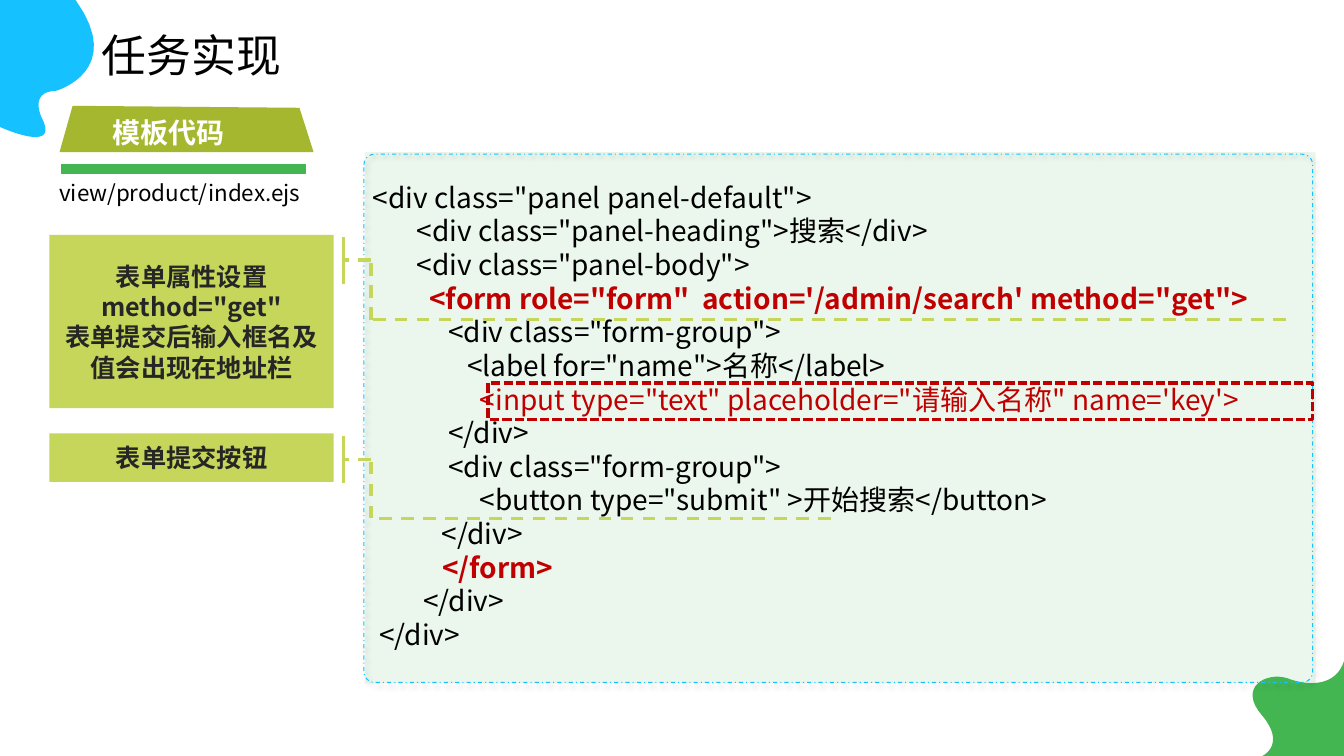
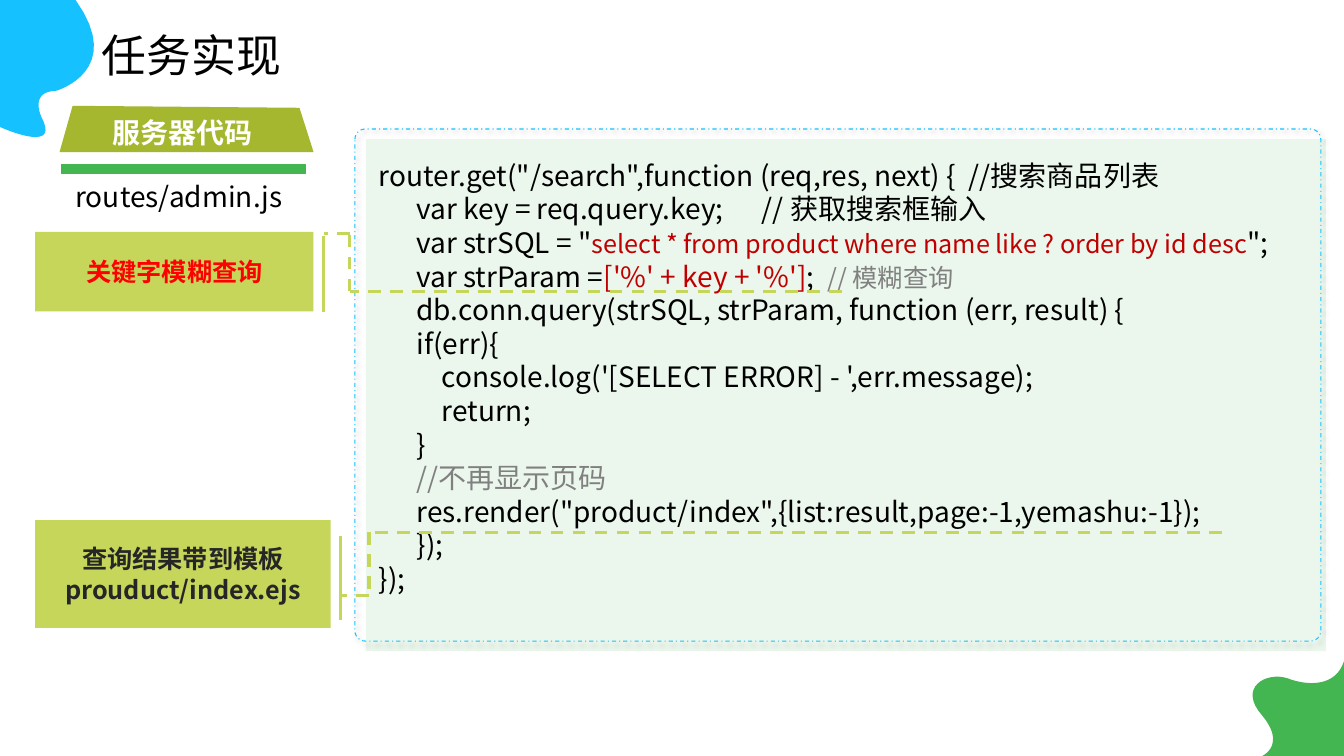
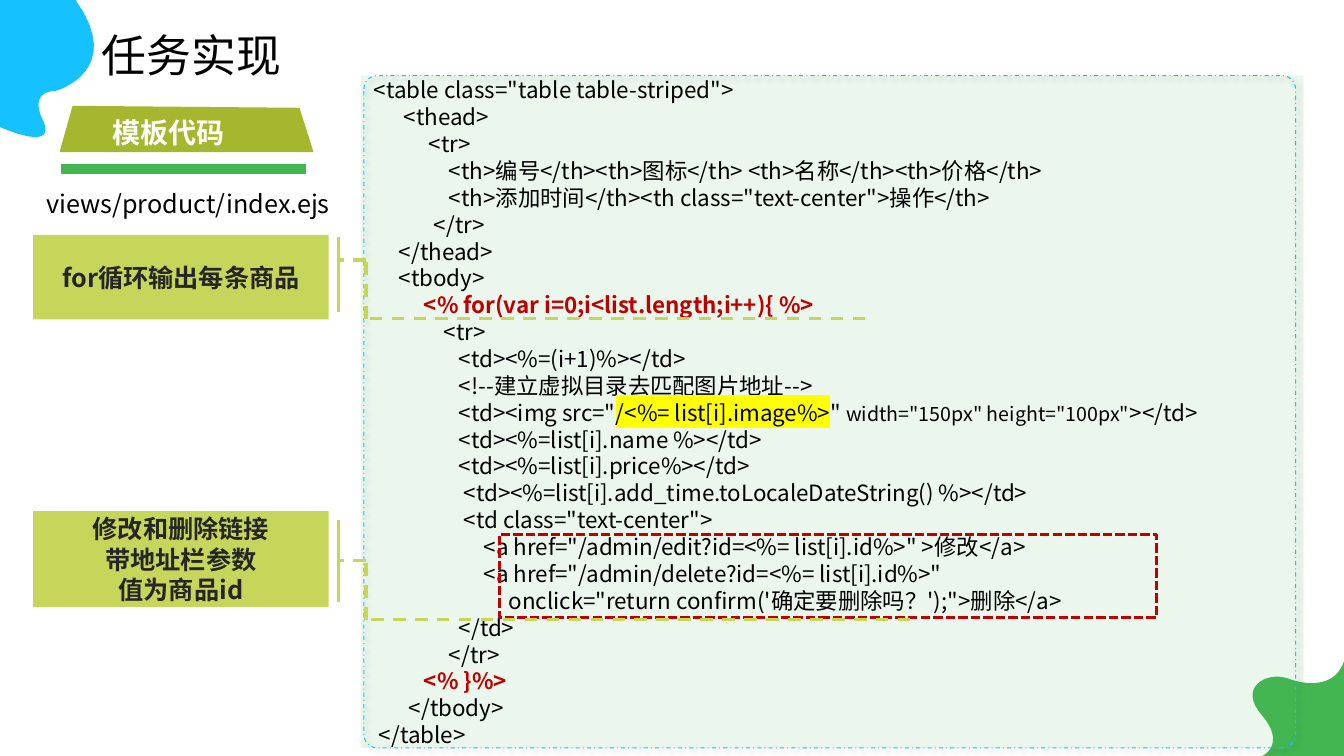
from lxml import etree
from pptx import Presentation
from pptx.dml.color import RGBColor
from pptx.enum.dml import MSO_LINE
from pptx.enum.shapes import MSO_CONNECTOR, MSO_SHAPE
from pptx.enum.text import MSO_ANCHOR, MSO_AUTO_SIZE, PP_ALIGN
from pptx.oxml.ns import qn
from pptx.util import Inches, Pt

RECT, ROUND = MSO_SHAPE.RECTANGLE, MSO_SHAPE.ROUNDED_RECTANGLE
LINE = MSO_CONNECTOR.STRAIGHT
DASH, DOTS, DASHDOT = MSO_LINE.DASH, MSO_LINE.SQUARE_DOT, MSO_LINE.DASH_DOT
LEFT, CENTER = PP_ALIGN.LEFT, PP_ALIGN.CENTER
TOP, MIDDLE = MSO_ANCHOR.TOP, MSO_ANCHOR.MIDDLE

FONT = "Noto Sans CJK SC"
BLACK, WHITE, DARK, GRAY = "000000", "FFFFFF", "262626", "808080"
BLUE, GREEN, OLIVE, LIME = "15C2FF", "43B651", "A5B72E", "C6D65B"
RED, BRIGHT, YELLOW = "C00000", "FF0000", "FFFF00"
STRONG = {"color": RED, "bold": True}
color = RGBColor.from_string


def paint(shape, fill=None, line=None, width=1, dash=None):
    shape.shadow.inherit = False
    if fill:
        shape.fill.solid()
        shape.fill.fore_color.rgb = color(fill)
    else:
        shape.fill.background()
    if line:
        shape.line.color.rgb = color(line)
        shape.line.width = Pt(width)
        shape.line.dash_style = dash
    else:
        shape.line.fill.background()
    return shape


def write(shape, lines, size, ink=BLACK, bold=False, align=LEFT, anchor=TOP):
    frame = shape.text_frame
    frame.word_wrap = True
    frame.auto_size = MSO_AUTO_SIZE.NONE
    frame.vertical_anchor = anchor
    for i, parts in enumerate(lines):
        para = frame.add_paragraph() if i else frame.paragraphs[0]
        para.alignment = align
        para.line_spacing = Pt(size * 1.2)
        font = para.font
        font.name, font.size, font.bold = FONT, Pt(size), bold
        font.color.rgb = color(ink)
        base = para._p.pPr.find(qn("a:defRPr"))
        etree.SubElement(base, qn("a:ea"), typeface=FONT)
        for part in [parts] if isinstance(parts, str) else parts:
            text, style = (part, {}) if isinstance(part, str) else part
            run = para.add_run()
            run.text = text
            if "color" in style:
                run.font.color.rgb = color(style["color"])
            if "size" in style:
                run.font.size = Pt(style["size"])
            if "bold" in style:
                run.font.bold = True
            if "mark" in style:
                mark = etree.SubElement(run._r.get_or_add_rPr(), qn("a:highlight"))
                etree.SubElement(mark, qn("a:srgbClr"), val=style["mark"])


BLOBS = [
    (BLUE, (0, 1.26), [
        ((0, 1.26), (0.57, 1.52), (0.43, 1.2)),
        ((0.43, 1.2), (0.26, 0.91), (0.56, 0.9)),
        ((0.56, 0.9), (1.25, 0.7), (0.75, 0))], (0, 0)),
    (GREEN, (12.52, 7.5), [
        ((12.52, 7.5), (12.76, 7.39), (12.52, 7.1)),
        ((12.27, 6.82), (12.56, 6.66), (12.77, 6.73)),
        ((12.98, 6.81), (13.25, 6.81), (13.33, 6.56))], (13.33, 7.5)),
]
BANNER = [(0.72, 1.05), (2.97, 1.07), (3.11, 1.51), (0.59, 1.51)]

SLIDES = [
    {
        "head": "模板代码",
        "file": ("view/product/index.ejs", 16, 0.49, 1.73),
        "tint": (3.62, 1.51, 9.43, 5.27),
        "edge": (3.61, 1.53, 9.41, 5.24),
        "box": (3.6, 1.74, 10.25, 5.56),
        "size": 20,
        "code": [
            '<div class="panel panel-default">',
            '       <div class="panel-heading">搜索</div>',
            '       <div class="panel-body">',
            ("         ", ("<form role=\"form\"  action='/admin/search' method=\"get\">", STRONG)),
            '            <div class="form-group">',
            '               <label for="name">名称</label>',
            ("                 ",
             ("<input type=\"text\" placeholder=\"请输入名称\" name='key'>", {"color": RED})),
            "            </div>",
            '            <div class="form-group">',
            '                 <button type="submit" >开始搜索</button>',
            "           </div>",
            ("        ", ("   </form>", STRONG)),
            "        </div>",
            " </div>",
        ],
        "frame": (4.84, 3.8, 8.18, 0.36),
        "notes": [
            ((0.49, 2.33, 2.82, 1.72), DARK,
             ["表单属性设置", 'method="get"', "表单提交后输入框名及值会出现在地址栏"],
             (12.75, 3.17), (3.68, 2.58), (3.41, 2.35, 2.82)),
            ((0.49, 4.3, 2.82, 0.48), DARK, ["表单提交按钮"],
             (8.24, 5.14), (3.68, 4.56), (3.41, 4.33, 4.79)),
        ],
    },
    {
        "head": "服务器代码",
        "file": ("routes/admin.js", 20, 0.65, 1.73),
        "tint": (3.63, 1.38, 9.52, 5.08),
        "edge": (3.52, 1.28, 9.58, 5.08),
        "box": (3.66, 1.52, 9.5, 4.62),
        "size": 20,
        "code": [
            'router.get("/search",function (req,res, next) {  //搜索商品列表',
            "      var key = req.query.key;      // 获取搜索框输入",
            ('      var strSQL = "',
             ("select * from product where name like ? order by id desc",
              {"color": RED, "size": 18}), '";'),
            ("      var strParam =", ("['%' + key + '%']", {"color": RED}), ";  ",
             ("// 模糊查询", {"color": GRAY, "size": 18})),
            "      db.conn.query(strSQL, strParam, function (err, result) {",
            "      if(err){",
            "          console.log('[SELECT ERROR] - ',err.message);",
            "          return;",
            "      }",
            [("      //不再显示页码", {"color": GRAY})],
            '      res.render("product/index",{list:result,page:-1,yemashu:-1});',
            "      });",
            "});",
        ],
        "frame": None,
        "notes": [
            ((0.35, 5.16, 2.93, 1.07), DARK, ["查询结果带到模板", "prouduct/index.ejs"],
             (12.12, 5.28), (3.66, 5.91), (3.38, 5.32, 6.15)),
            ((0.35, 2.3, 2.76, 0.79), BRIGHT, ["关键字模糊查询"],
             (8.35, 2.89), (3.47, 2.32), (3.21, 2.34, 3.1)),
        ],
    },
    {
        "head": "模板代码",
        "file": ("views/product/index.ejs", 18, 0.36, 1.82),
        "tint": (3.58, 0.75, 9.35, 6.67),
        "edge": (3.61, 0.75, 9.24, 6.67),
        "box": (3.56, 0.71, 9.75, 6.7),
        "size": 16,
        "code": [
            ' <table class="table table-striped">',
            "       <thead>",
            "            <tr>",
            "                <th>编号</th><th>图标</th> <th>名称</th><th>价格</th>",
            '                <th>添加时间</th><th class="text-center">操作</th>',
            "             </tr>",
            "      </thead>",
            "      <tbody>",
            ("          ", (" <% for(var i=0;i<list.length;i++){ %>", STRONG)),
            "               <tr>",
            "                  <td><%=(i+1)%></td>",
            "                  <!--建立虚拟目录去匹配图片地址-->",
            ('                  <td><img src="', ("/<%= list[i].image%>", {"mark": YELLOW}),
             '" ', ('width="150px" height="100px"', {"size": 14}), "></td>"),
            "                  <td><%=list[i].name %></td>",
            "                  <td><%=list[i].price%></td>",
            "                   <td><%=list[i].add_time.toLocaleDateString() %></td>",
            '                   <td class="text-center">',
            '                       <a href="/admin/edit?id=<%= list[i].id%>" >修改</a>',
            '                       <a href="/admin/delete?id=<%= list[i].id%>"',
            "                            onclick=\"return confirm('确定要删除吗？');\">删除</a>",
            "                  </td>",
            "                </tr>",
            ("           ", ("<% }%>", STRONG)),
            "        </tbody>",
            "  </table>",
        ],
        "frame": (4.95, 5.3, 6.52, 0.83),
        "notes": [
            ((0.33, 2.33, 2.93, 0.84), DARK, ["for循环输出每条商品"],
             (8.58, 3.16), (3.63, 2.58), (3.36, 2.35, 3.1)),
            ((0.33, 5.07, 2.93, 0.95), DARK, ["修改和删除链接", "带地址栏参数", "值为商品id"],
             (9.03, 6.15), (3.63, 5.56), (3.36, 5.16, 5.97)),
        ],
    },
]

deck = Presentation()
deck.slide_width, deck.slide_height = Inches(13.33), Inches(7.5)

for page in SLIDES:
    slide = deck.slides.add_slide(deck.slide_layouts[5])
    shapes = slide.shapes

    title = shapes.title
    title.left, title.top = Inches(0.91), Inches(0.22)
    title.width, title.height = Inches(3), Inches(0.64)
    write(title, ["任务实现"], 32)

    outlines = [(OLIVE, BANNER)]
    for fill, start, curves, corner in BLOBS:
        points = [start]
        for a, b, end in curves:
            first = points[-1]
            for step in range(1, 17):
                t = step / 16
                u = 1 - t
                points.append([
                    u**3 * p + 3 * u * u * t * q + 3 * u * t * t * r + t**3 * s
                    for p, q, r, s in zip(first, a, b, end)])
        outlines.append((fill, points + [corner]))
    for fill, points in outlines:
        points = [(Inches(x), Inches(y)) for x, y in points]
        pen = shapes.build_freeform(*points[0])
        pen.add_line_segments(points[1:])
        paint(pen.convert_to_shape(), fill)

    tint = paint(shapes.add_shape(RECT, *map(Inches, page["tint"])), GREEN)
    shade = tint._element.spPr.find(qn("a:solidFill"))[0]
    etree.SubElement(shade, qn("a:alpha"), val="10000")

    edge = shapes.add_shape(ROUND, *map(Inches, page["edge"]))
    edge.adjustments[0] = 0.02
    paint(edge, None, BLUE, 0.75, DASHDOT)
    glow = etree.SubElement(
        edge._element.spPr.find(qn("a:effectLst")), qn("a:outerShdw"),
        blurRad=str(Pt(4)), dist=str(Pt(3)), dir="2700000", rotWithShape="0")
    black = etree.SubElement(glow, qn("a:srgbClr"), val=BLACK)
    etree.SubElement(black, qn("a:alpha"), val="40000")

    code = shapes.add_textbox(*map(Inches, page["box"]))
    write(code, page["code"], page["size"])
    if page["frame"]:
        paint(shapes.add_shape(RECT, *map(Inches, page["frame"])), None, RED, 2.25, DOTS)

    rule = shapes.add_shape(RECT, Inches(0.61), Inches(1.63), Inches(2.42), Inches(0.09))
    paint(rule, GREEN, GREEN)
    head = shapes.add_textbox(Inches(1.02), Inches(1.1), Inches(2), Inches(0.44))
    write(head, [page["head"]], 20, WHITE, True)
    name, size, left, top = page["file"]
    file = shapes.add_textbox(Inches(left), Inches(top), Inches(3.4), Inches(0.44))
    write(file, [name], size)

    for place, ink, lines, (far, low), (bend, high), (bar, start, end) in page["notes"]:
        note = paint(shapes.add_shape(RECT, *map(Inches, place)), LIME)
        write(note, lines, 18, ink, True, CENTER, MIDDLE)
        for ends, dash in [
            ((far, low, bend, low), DASH),
            ((bend, low, bend, high), DASH),
            ((bend, high, bar, high), DASH),
            ((bar, start, bar, end), None),
        ]:
            link = shapes.add_connector(LINE, *map(Inches, ends))
            link.line.color.rgb = color(LIME)
            link.line.width = Pt(2.25)
            link.line.dash_style = dash
            etree.SubElement(link._element.spPr, qn("a:effectLst"))

deck.save("out.pptx")
